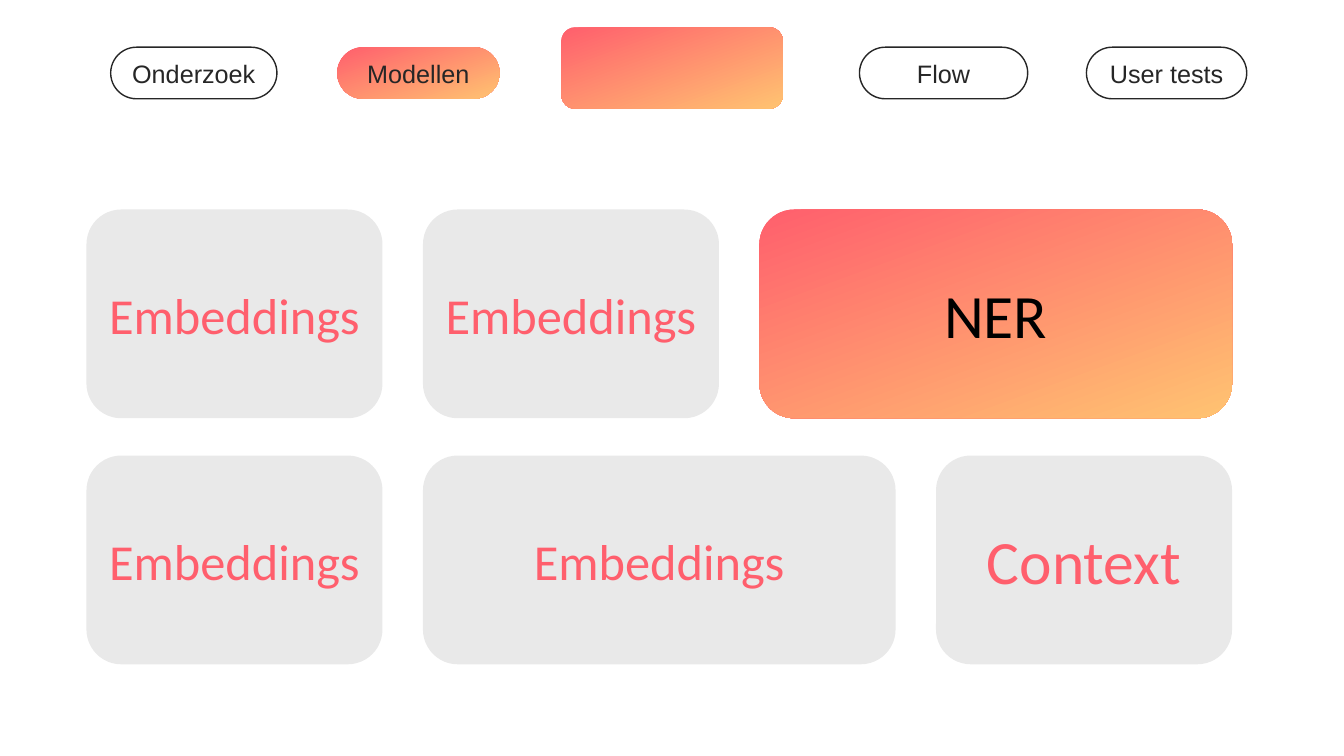
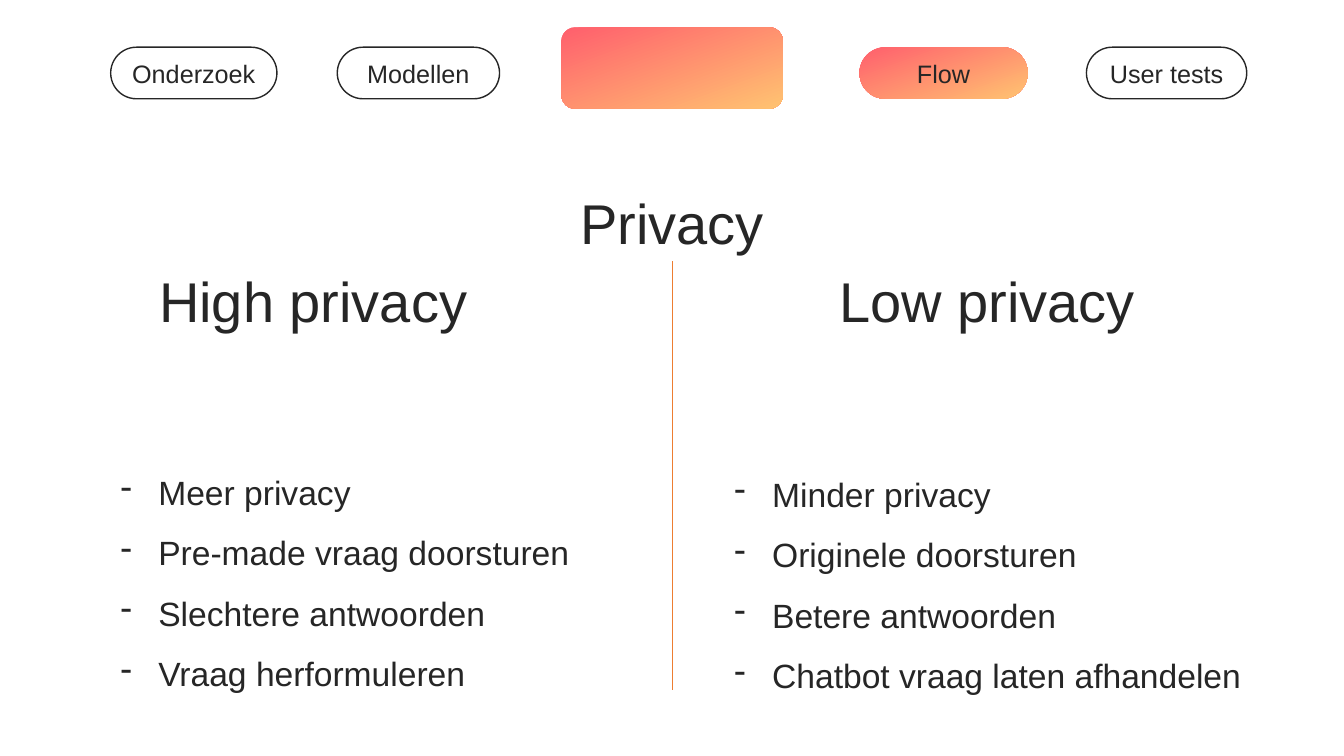
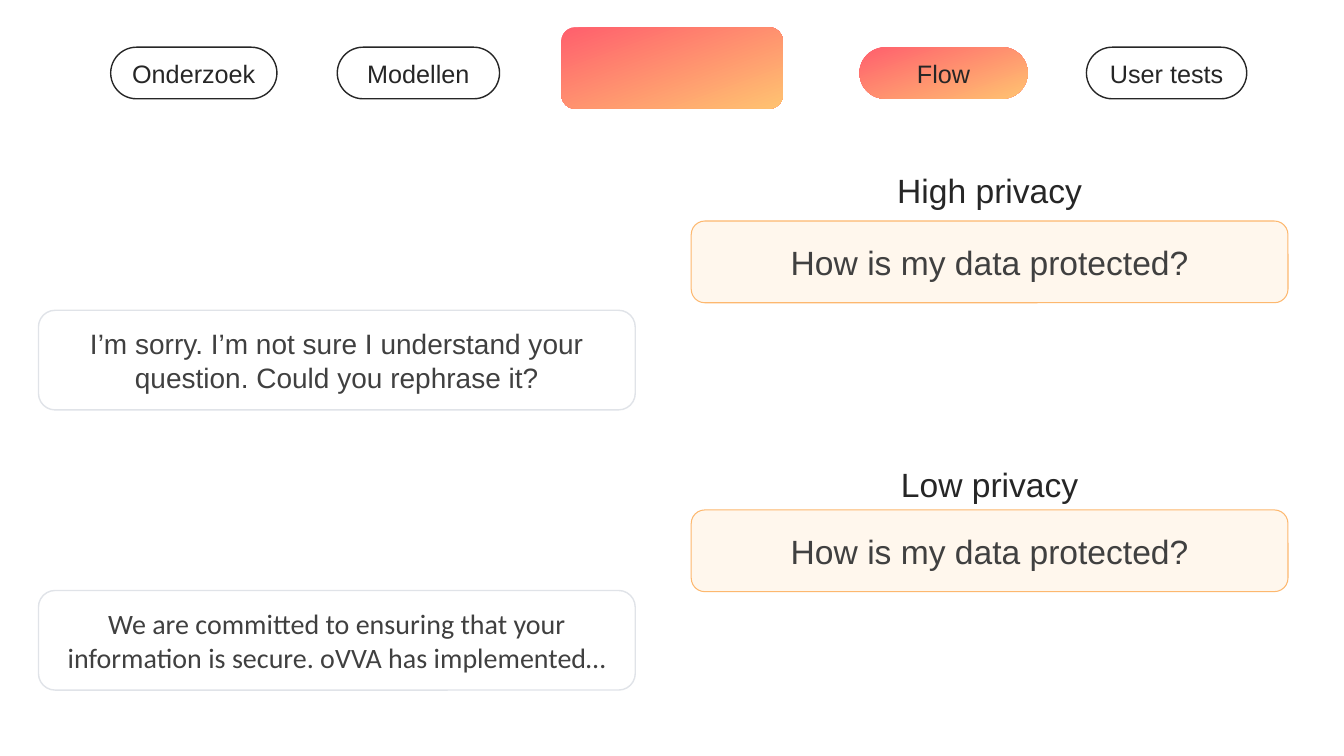
"""Build three slides on models and privacy under a shared row of tabs."""
from lxml import etree
from pptx import Presentation
from pptx import util as u
from pptx.dml.color import RGBColor
from pptx.enum import shapes, text
from pptx.oxml import ns

Cm, Pt = u.Cm, u.Pt
RED = RGBColor(0xFF, 0x5F, 0x6D)
GOLD = RGBColor(0xFF, 0xC3, 0x71)
GREY = RGBColor(0xE9, 0xE9, 0xE9)
INK = RGBColor(0x26, 0x26, 0x26)
SLATE = RGBColor(0x40, 0x40, 0x40)
BLACK = RGBColor(0, 0, 0)
WHITE = RGBColor(0xFF, 0xFF, 0xFF)
CREAM = RGBColor(0xFF, 0xF7, 0xED)
AMBER = RGBColor(0xFD, 0xB8, 0x6F)
MIST = RGBColor(0xE0, 0xE3, 0xE8)
RUST = RGBColor(0xED, 0x7D, 0x31)
BLEND = (RED, GOLD)

WIDTH, HEIGHT = 33.87, 19.05
TABS = [("Onderzoek", 2.79, 4.19), ("Modellen", 8.5, 4.09),
        ("Flow", 21.66, 4.24), ("User tests", 27.38, 4.04)]
SMALL, WIDE, TALL = 7.46, 11.91, 5.26
LEFT, GAP = 2.18, 1.02
INDENT = Cm(0.95)


def write(para, words, size, color, font="Arial"):
    """Add one styled run to a paragraph."""
    run = para.add_run()
    run.text = words
    run.font.size = Pt(size)
    run.font.name = font
    run.font.color.rgb = color


def paint(shape, fill):
    """Fill a shape with nothing, one colour or the blend."""
    if fill is None:
        shape.fill.background()
    elif fill is BLEND:
        shape.fill.gradient()
        shape.fill.gradient_angle = 290
        for stop, color in zip(shape.fill.gradient_stops, BLEND):
            stop.color.rgb = color
    else:
        shape.fill.solid()
        shape.fill.fore_color.rgb = fill


def box(slide, x, y, w, h, fill, line=None, weight=1, bend=None):
    """Add a rounded box."""
    shape = slide.shapes.add_shape(shapes.MSO_SHAPE.ROUNDED_RECTANGLE,
                                   Cm(x), Cm(y), Cm(w), Cm(h))
    shape.shadow.inherit = False
    paint(shape, fill)
    if line is None:
        shape.line.fill.background()
    else:
        shape.line.color.rgb = line
        shape.line.width = Pt(weight)
    if bend is not None:
        shape.adjustments[0] = bend
    return shape


def fill_text(shape, words, size, color, font="Arial", after=None):
    """Write centred text in a box."""
    frame = shape.text_frame
    frame.word_wrap = True
    frame.vertical_anchor = text.MSO_ANCHOR.MIDDLE
    para = frame.paragraphs[0]
    para.alignment = text.PP_ALIGN.CENTER
    if after is not None:
        para.space_after = Pt(after)
    write(para, words, size, color, font)


def free(slide, x, y, w, h):
    """Add a text box that grows with its unwrapped text."""
    shape = slide.shapes.add_textbox(Cm(x), Cm(y), Cm(w), Cm(h))
    shape.text_frame.word_wrap = False
    shape.text_frame.auto_size = text.MSO_AUTO_SIZE.SHAPE_TO_FIT_TEXT
    return shape


def label(slide, words, size, mid, y, w, h):
    """Add a heading centred on mid."""
    shape = free(slide, mid - w / 2, y, w, h)
    para = shape.text_frame.paragraphs[0]
    para.alignment = text.PP_ALIGN.CENTER
    write(para, words, size, INK)
    return shape


def bullets(slide, items, x, y, w, h):
    """Add a list with dashes."""
    frame = free(slide, x, y, w, h).text_frame
    for i, item in enumerate(items):
        para = frame.add_paragraph() if i else frame.paragraphs[0]
        para.line_spacing = 1.5
        write(para, item, 24, INK)
        props = para._p.get_or_add_pPr()
        props.set("marL", str(INDENT))
        props.set("indent", str(-INDENT))
        etree.SubElement(props, ns.qn("a:buFontTx"))
        etree.SubElement(props, ns.qn("a:buChar")).set("char", "-")


def divide(slide, top, end):
    """Draw a thin line down from the foot of a heading."""
    mid = Cm(WIDTH / 2)
    line = slide.shapes.add_connector(shapes.MSO_CONNECTOR.STRAIGHT,
                                      mid, top.top + top.height, mid, Cm(end))
    line.begin_connect(top, 2)
    line.line.color.rgb = RUST
    line.line.width = Pt(0.5)
    etree.SubElement(line._element.spPr, ns.qn("a:effectLst"))


def start(deck, tab):
    """Add a blank slide with its tabs, one of them lit."""
    slide = deck.slides.add_slide(deck.slide_layouts[6])
    box(slide, 14.15, 0.69, 5.58, 2.05, BLEND)
    for name, x, w in TABS:
        lit = name == tab
        pill = box(slide, x, 1.19, w, 1.3, BLEND if lit else None,
                   None if lit else INK, bend=0.5)
        fill_text(pill, name, 18, INK)
    return slide


def models(deck):
    """Build the grid of models."""
    slide = start(deck, "Modellen")
    rows = [(5.28, [("Embeddings", SMALL, 36), ("Embeddings", SMALL, 36),
                    ("NER", WIDE, 44)]),
            (11.48, [("Embeddings", SMALL, 36), ("Embeddings", WIDE, 36),
                     ("Context", SMALL, 44)])]
    for y, cards in rows:
        x = LEFT
        for name, w, size in cards:
            lit = name == "NER"
            card = box(slide, x, y, w, TALL, BLEND if lit else GREY)
            fill_text(card, name, size, BLACK if lit else RED, "Calibri",
                      None if lit else 6)
            x += w + GAP


def privacy(deck):
    """Build the two columns on privacy."""
    slide = start(deck, "Flow")
    top = label(slide, "Privacy", 40, WIDTH / 2, 4.62, 5.18, 1.96)
    divide(slide, top, 17.4)
    label(slide, "High privacy", 40, 7.89, 6.58, 8.36, 1.96)
    label(slide, "Low privacy", 40, 24.87, 6.58, 8.03, 1.96)
    bullets(slide, ["Meer privacy", "Pre-made vraag doorsturen",
                    "Slechtere antwoorden", "Vraag herformuleren"],
            2.79, 11.25, 11.94, 6.22)
    bullets(slide, ["Minder privacy", "Originele doorsturen",
                    "Betere antwoorden", "Chatbot vraag laten afhandelen"],
            18.26, 11.3, 13.4, 6.22)


def chat(deck):
    """Build the two sample chats."""
    slide = start(deck, "Flow")
    talks = [
        ("High privacy", 4.15, 5.57, 7.82, "Arial",
         "I’m sorry. I’m not sure I understand your question. "
         "Could you rephrase it?"),
        ("Low privacy", 11.56, 12.85, 14.88, "Calibri",
         "We are committed to ensuring that your information is secure. "
         "oVVA has implemented…")]
    for head, y, ask, reply, font, words in talks:
        label(slide, head, 24, 24.94, y, 5.4, 1.27)
        query = box(slide, 17.42, ask, 15.04, 2.06, CREAM, AMBER, 0.75)
        fill_text(query, "How is my data protected?", 24, SLATE)
        answer = box(slide, 0.97, reply, 15.04, 2.51, WHITE, MIST)
        fill_text(answer, words, 20, SLATE, font)


def main():
    """Build and save the deck."""
    deck = Presentation()
    deck.slide_width, deck.slide_height = Cm(WIDTH), Cm(HEIGHT)
    models(deck)
    privacy(deck)
    chat(deck)
    deck.save("out.pptx")


if __name__ == "__main__":
    main()
